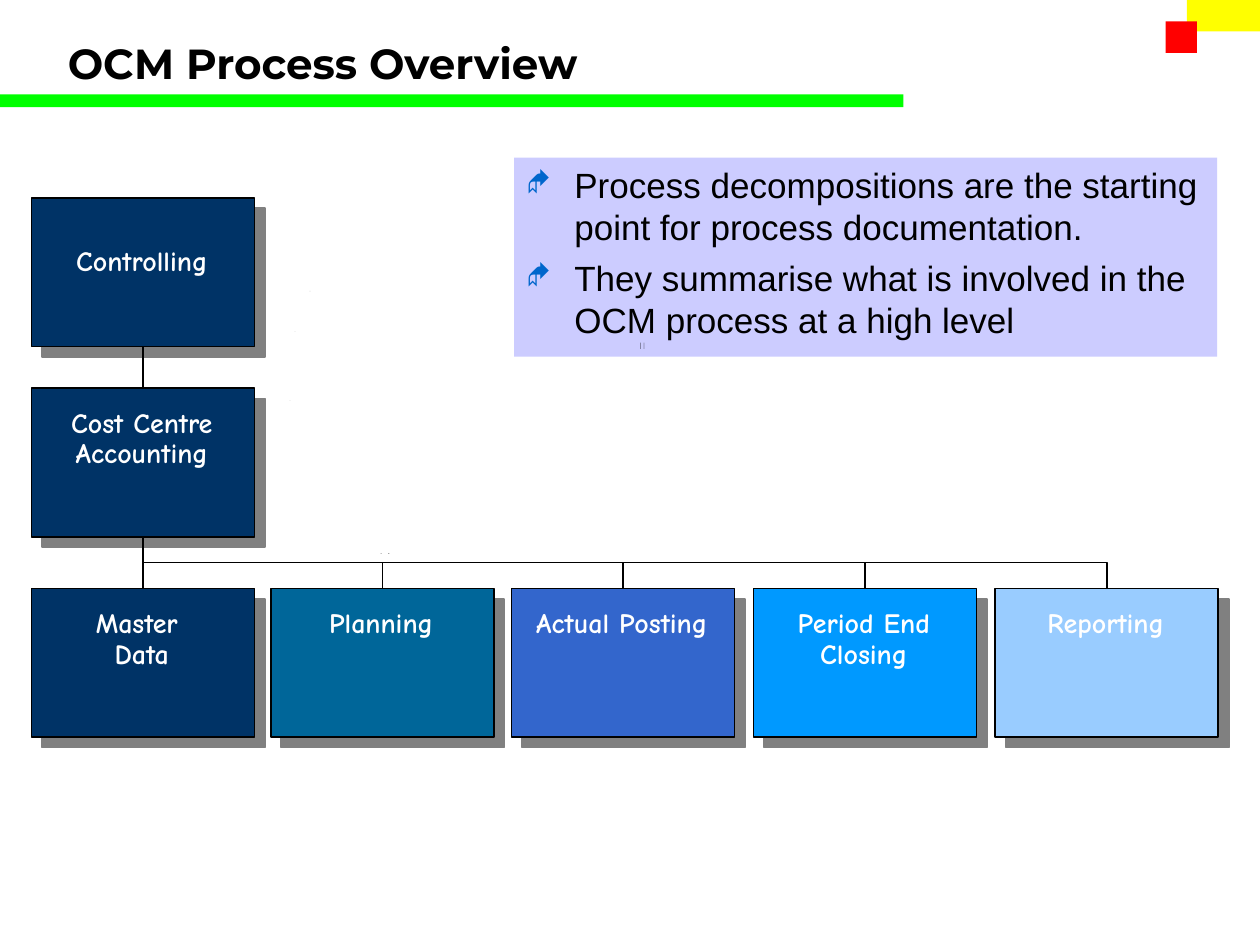
from lxml.etree import SubElement
from pptx import Presentation
from pptx.dml.color import RGBColor
from pptx.enum.shapes import MSO_CONNECTOR, MSO_SHAPE
from pptx.enum.text import MSO_ANCHOR, PP_ALIGN
from pptx.oxml import parse_xml
from pptx.oxml.ns import nsdecls, qn
from pptx.util import Inches, Pt

BLACK = RGBColor(0x00, 0x00, 0x00)
WHITE = RGBColor(0xFF, 0xFF, 0xFF)
GREEN = RGBColor(0x00, 0xFF, 0x00)
YELLOW = RGBColor(0xFF, 0xFF, 0x00)
RED = RGBColor(0xFF, 0x00, 0x00)
LAVENDER = RGBColor(0xCC, 0xCC, 0xFF)
NAVY = RGBColor(0x00, 0x33, 0x66)
TEAL = RGBColor(0x00, 0x66, 0x99)
BLUE = RGBColor(0x33, 0x66, 0xCC)
AZURE = RGBColor(0x00, 0x99, 0xFF)
SKY = RGBColor(0x99, 0xCC, 0xFF)

COLS = [0.25, 2.15, 4.06, 5.98, 7.9]
ROWS = [1.57, 3.08, 4.67]
BOX_W, BOX_H = 1.77, 1.18
LABEL_X, LABEL_Y, LABEL_W = 0.07, 0.12, 1.61

prs = Presentation()
prs.slide_width, prs.slide_height = Inches(10), Inches(7.5)
s = prs.slides.add_slide(prs.slide_layouts[6])


def add_rect(x, y, w, h, fill):
    sp = s.shapes.add_shape(MSO_SHAPE.RECTANGLE, Inches(x), Inches(y), Inches(w), Inches(h))
    sp.shadow.inherit = False
    sp.fill.solid()
    sp.fill.fore_color.rgb = fill
    sp.line.fill.background()
    return sp


def write(sp, text, font="Arial", size=20, color=BLACK, bold=False, align=PP_ALIGN.LEFT,
          anchor=MSO_ANCHOR.TOP, spacing=1.0, before=0, top=0.05, bullet=None):
    tf = sp.text_frame
    tf.word_wrap = True
    tf.vertical_anchor = anchor
    tf.margin_top = Inches(top)
    for i, line in enumerate(text.split("\n")):
        p = tf.paragraphs[0] if i == 0 else tf.add_paragraph()
        p.alignment, p.line_spacing, p.space_before = align, spacing, Pt(before)
        r = p.add_run()
        r.text = line
        r.font.name, r.font.size, r.font.bold = font, Pt(size), bold
        r.font.color.rgb = color
        if bullet:
            pPr = p._p.get_or_add_pPr()
            pPr.set("marL", str(Inches(0.38)))
            pPr.set("indent", str(-Inches(0.38)))
            SubElement(SubElement(pPr, qn("a:buClr")), qn("a:srgbClr"), val="0066CC")
            SubElement(pPr, qn("a:buSzPct"), val="80000")
            SubElement(pPr, qn("a:buFont"), typeface="Wingdings")
            SubElement(pPr, qn("a:buChar"), char=bullet)


add_rect(0, 0.75, 7.17, 0.1, GREEN)
add_rect(9.42, 0, 0.58, 0.25, YELLOW)
add_rect(9.25, 0.17, 0.25, 0.25, RED)

title = s.shapes.add_textbox(Inches(0.44), Inches(0.25), Inches(9.23), Inches(0.5))
write(title, "OCM Process Overview", font="Montserrat", size=24, bold=True,
      anchor=MSO_ANCHOR.MIDDLE)

summary = add_rect(4.08, 1.25, 5.58, 1.58, LAVENDER)
write(summary, "Process decompositions are the starting point for process documentation.\n"
      "They summarise what is involved in the OCM process at a high level",
      before=5, bullet="◆")

for x, y, w, h in [(3.02, 4.39, 0.01, 0), (3.08, 4.39, 0.01, 0),
                   (2.46, 2.31, 0, 0), (2.3, 3.18, 0, 0), (2.34, 2.63, 0, 0),
                   (5.08, 2.72, 0, 0.05), (5.11, 2.72, 0, 0.05)]:
    add_rect(x, y, max(w, 0.003), max(h, 0.003), BLACK)

boxes = []
for text, col, row, fill, label_h, top in [
    ("Planning", 1, 2, TEAL, 0.34, 0.05),
    ("Master \nData", 0, 2, NAVY, 0.58, 0.05),
    ("Cost Centre Accounting", 0, 1, NAVY, 0.58, 0.05),
    ("Actual Posting", 2, 2, BLUE, 0.34, 0.05),
    ("Period End Closing", 3, 2, AZURE, 0.58, 0.05),
    ("Reporting", 4, 2, SKY, 0.34, 0.05),
    ("Controlling", 0, 0, NAVY, 0.55, 0.27),
]:
    x, y = COLS[col], ROWS[row]
    sp = add_rect(x, y, BOX_W, BOX_H, fill)
    sp.line.color.rgb = BLACK
    sp.line.width = Pt(1)
    effects = sp._element.spPr.find(qn("a:effectLst"))
    effects.append(parse_xml(
        f'<a:outerShdw {nsdecls("a")} dist="{Pt(8.5)}" dir="2700000" algn="ctr" '
        'rotWithShape="0"><a:srgbClr val="808080"/></a:outerShdw>'))
    label = add_rect(x + LABEL_X, y + LABEL_Y, LABEL_W, label_h, fill)
    write(label, text, font="Comic Neue", size=16, color=WHITE, bold=True,
          align=PP_ALIGN.CENTER, spacing=0.9, top=top)
    boxes.append(sp)

planning, master, accounting, posting, closing, reporting, controlling = boxes
for parent, child in [(controlling, accounting), (accounting, master),
                      (accounting, planning), (accounting, posting),
                      (accounting, closing), (accounting, reporting)]:
    straight = parent.left == child.left
    kind = MSO_CONNECTOR.STRAIGHT if straight else MSO_CONNECTOR.ELBOW
    c = s.shapes.add_connector(kind, 0, 0, 0, 0)
    c.begin_connect(parent, 2)
    c.end_connect(child, 0)
    c.line.color.rgb = BLACK
    c.line.width = Pt(0.75)
    SubElement(c._element.spPr, qn("a:effectLst"))
    if not straight:
        x, y, w, h = c.left, c.top, c.width, c.height
        c.left, c.top = x + (w - h) // 2, y + (h - w) // 2
        c.width, c.height = h, w
        xfrm = c._element.spPr.find(qn("a:xfrm"))
        xfrm.set("rot", "16200000")
        xfrm.set("flipH", "1")

prs.save("out.pptx")
